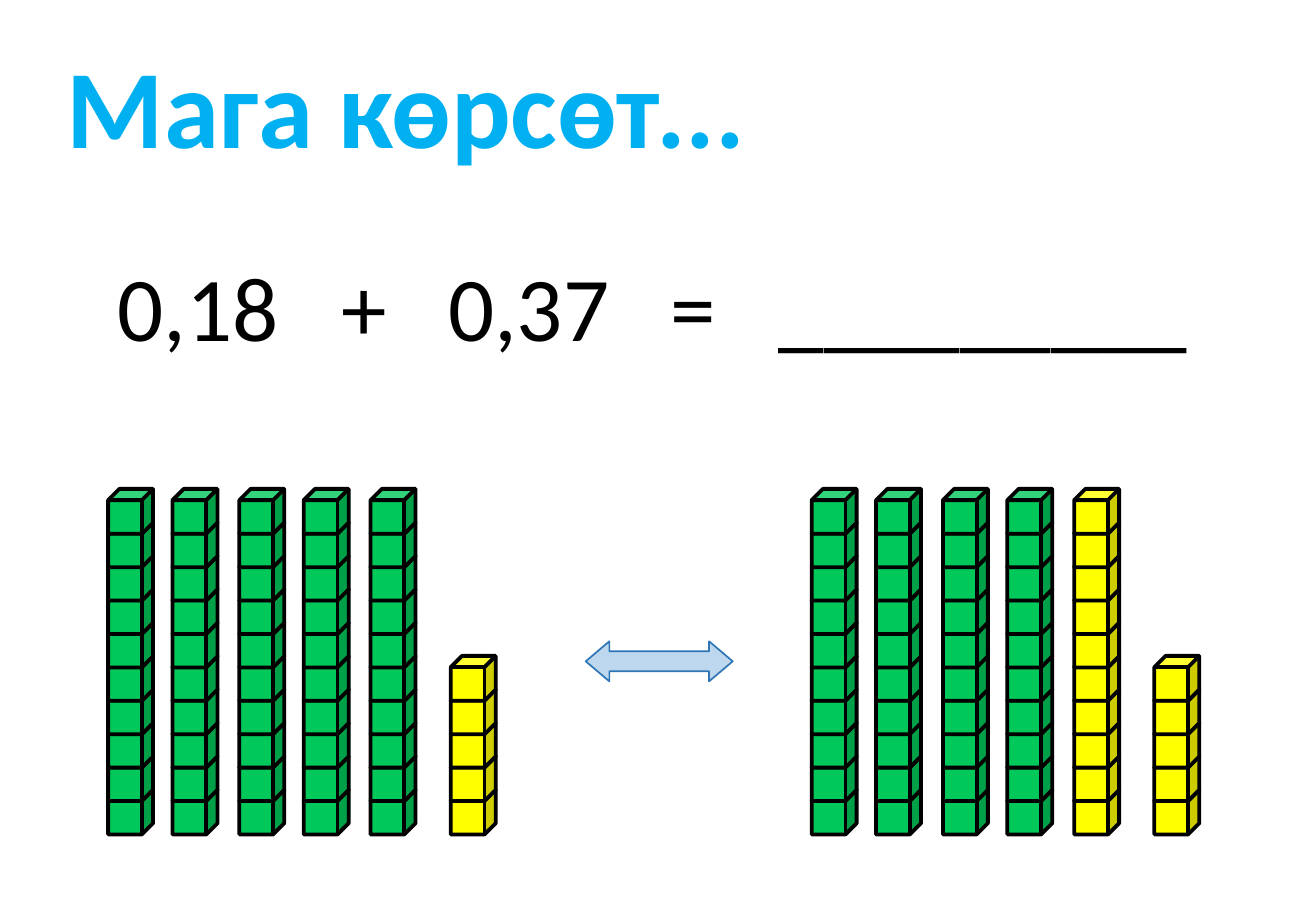
from dataclasses import dataclass

from lxml import etree
from pptx import Presentation
from pptx import util as u
from pptx.dml import color
from pptx.enum import shapes, text
from pptx.oxml import ns


@dataclass(frozen=True)
class Theme:
    font: str = "Calibri"
    title: str = "00B0F0"
    ink: str = "000000"
    green: str = "00C85A"
    yellow: str = "FFFF00"
    arrow_fill: str = "BDD7EE"
    arrow_line: str = "2E75B6"
    title_size: float = 66
    equation_size: float = 54
    cube_line: float = 2.25
    arrow_line_width: float = 1


THEME = Theme()
CUBE_SIZE = 0.37
CUBE_STEP = 0.275
ROD_OFFSETS = (0, 0.53, 1.08, 1.61, 2.16, 2.82)


def add_text(slide, box, words, size, ink, bold=False, margin_left=0.1, tabs=()):
    label = slide.shapes.add_textbox(*map(u.Inches, box))
    frame = label.text_frame
    frame.word_wrap = True
    frame.auto_size = text.MSO_AUTO_SIZE.SHAPE_TO_FIT_TEXT
    frame.margin_left = u.Inches(margin_left)
    paragraph = frame.paragraphs[0]
    if tabs:
        stops = etree.SubElement(paragraph._p.get_or_add_pPr(), ns.qn("a:tabLst"))
        for position in tabs:
            stop = etree.SubElement(stops, ns.qn("a:tab"))
            stop.set("pos", str(u.Inches(position)))
            stop.set("algn", "l")
    run = paragraph.add_run()
    run.text = words
    run.font.name = THEME.font
    run.font.size = u.Pt(size)
    run.font.bold = bold
    run.font.color.rgb = color.RGBColor.from_string(ink)


def add_figure(parent, preset, box, fill, line, line_width):
    figure = parent.shapes.add_shape(preset, *map(u.Inches, box))
    figure.shadow.inherit = False
    figure.fill.solid()
    figure.fill.fore_color.rgb = color.RGBColor.from_string(fill)
    figure.line.color.rgb = color.RGBColor.from_string(line)
    figure.line.width = u.Pt(line_width)
    return figure


def add_rod(slide, left, bottom, count, fill):
    rod = slide.shapes.add_group_shape()
    for level in range(count):
        top = bottom - CUBE_SIZE - level * CUBE_STEP
        add_figure(rod, shapes.MSO_SHAPE.CUBE, (left, top, CUBE_SIZE, CUBE_SIZE),
                   fill, THEME.ink, THEME.cube_line)


def add_rod_set(slide, box, green_rods):
    left, top, width, height = box
    for index, offset in enumerate(ROD_OFFSETS):
        count = 5 if offset == ROD_OFFSETS[-1] else 10
        fill = THEME.green if index < green_rods else THEME.yellow
        add_rod(slide, left + offset, top + height, count, fill)


def add_exchange_arrow(slide, box):
    arrow = add_figure(slide, shapes.MSO_SHAPE.LEFT_RIGHT_ARROW, box,
                       THEME.arrow_fill, THEME.arrow_line, THEME.arrow_line_width)
    arrow.adjustments[0] = 0.5
    arrow.adjustments[1] = 0.59


def main():
    deck = Presentation()
    deck.slide_width = u.Inches(10.83)
    deck.slide_height = u.Inches(7.5)
    slide = deck.slides.add_slide(deck.slide_layouts[6])
    add_text(slide, (0.24, 0.26, 7.54, 1.21), "Мага көрсөт...",
             THEME.title_size, THEME.title, bold=True, margin_left=0.31)
    add_text(slide, (0.87, 2.01, 9.1, 1.01), "0,18\t+\t0,37\t=\t_________",
             THEME.equation_size, THEME.ink, tabs=(1.84, 2.72, 4.55, 5.44))
    add_rod_set(slide, (0.89, 4.03, 3.19, 2.84), green_rods=5)
    add_exchange_arrow(slide, (4.82, 5.28, 1.21, 0.33))
    add_rod_set(slide, (6.68, 4.03, 3.19, 2.84), green_rods=4)
    deck.save("out.pptx")


if __name__ == "__main__":
    main()
